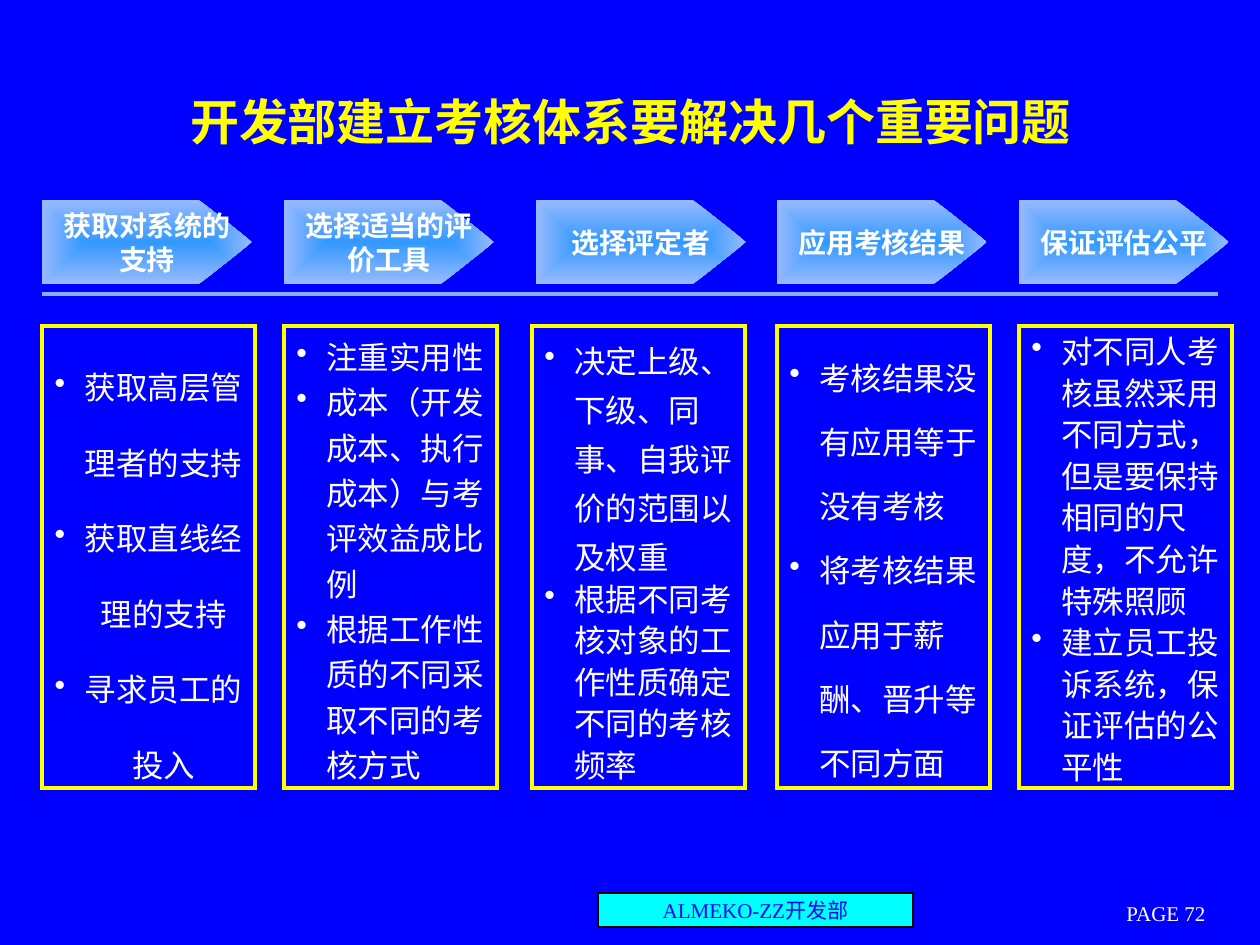
from lxml.etree import SubElement
from pptx import Presentation
from pptx.dml.color import RGBColor
from pptx.enum.shapes import MSO_CONNECTOR as Connector, MSO_SHAPE as Shape
from pptx.enum.text import MSO_ANCHOR as Anchor, PP_ALIGN as Align
from pptx.oxml.ns import qn
from pptx.util import Emu, Pt

EMU_PER_PX = 914400 / 126
BLUE = RGBColor(0x00, 0x00, 0xFF)
CYAN = RGBColor(0x00, 0xFF, 0xFF)
YELLOW = RGBColor(0xFF, 0xFF, 0x00)
WHITE = RGBColor(0xFF, 0xFF, 0xFF)
BLACK = RGBColor(0x00, 0x00, 0x00)
ARROW_CENTER = RGBColor(0x33, 0x99, 0xFF)
ARROW_EDGE = RGBColor(0x97, 0xBA, 0xFF)
RULE_BLUE = RGBColor(0x87, 0xAF, 0xFF)
SERIF = "Times New Roman"
CJK = "Noto Sans CJK SC"
LINE_HEIGHT = 1.2
BULLET_INDENT = 30

COLUMNS = [
    (42, 42, "获取对系统的支持", Align.CENTER,
     [("获取高层管理者的支持", 2), ("获取直线经理的支持", 2), ("寻求员工的投入", 2)]),
    (284, 284, "选择适当的评价工具", Align.LEFT,
     [("注重实用性", 1.2),
      ("成本（开发成本、执行成本）与考评效益成比例", 1.2),
      ("根据工作性质的不同采取不同的考核方式", 1.2)]),
    (536, 532, "选择评定者", Align.LEFT,
     [("决定上级、下级、同事、自我评价的范围以及权重", 1.3),
      ("根据不同考核对象的工作性质确定不同的考核频率", 1.1)]),
    (777, 777, "应用考核结果", Align.LEFT,
     [("考核结果没有应用等于没有考核", 1.7),
      ("将考核结果应用于薪酬、晋升等不同方面", 1.7)]),
    (1019, 1019, "保证评估公平", Align.LEFT,
     [("对不同人考核虽然采用不同方式，但是要保持相同的尺度，不允许特殊照顾", 1.1),
      ("建立员工投诉系统，保证评估的公平性", 1.1)]),
]


def px(length):
    return Emu(round(length * EMU_PER_PX))


def add_bullet(paragraph):
    properties = paragraph._p.get_or_add_pPr()
    properties.set("marL", str(px(BULLET_INDENT)))
    properties.set("indent", str(-px(BULLET_INDENT)))
    bullet_color = SubElement(properties, qn("a:buClr"))
    SubElement(bullet_color, qn("a:srgbClr"), val=str(WHITE))
    SubElement(properties, qn("a:buChar"), char="•")


def write_text(shape, lines, size=18, color=WHITE, font=SERIF, bold=False,
               align=Align.CENTER, bullets=False, wrap=True):
    frame = shape.text_frame
    frame.word_wrap = wrap
    frame.vertical_anchor = Anchor.MIDDLE
    for index, (text, spacing) in enumerate(lines):
        paragraph = frame.add_paragraph() if index else frame.paragraphs[0]
        paragraph._p.get_or_add_pPr().set("hangingPunct", "0")
        if bullets:
            add_bullet(paragraph)
        paragraph.alignment = align
        paragraph.line_spacing = Pt(round(size * LINE_HEIGHT * spacing, 2))
        run = paragraph.add_run()
        run.text = text
        run.font.size = Pt(size)
        run.font.bold = bold
        run.font.name = font
        run.font.color.rgb = color
        SubElement(run._r.get_or_add_rPr(), qn("a:ea"), typeface=CJK)


def add_label(slide, text, x, y, width, height, **style):
    label = slide.shapes.add_textbox(px(x), px(y), px(width), px(height))
    write_text(label, [(text, 1)], **style)


def add_panel(slide, lines, x, y, width, height, border, weight, fill=None, **style):
    panel = slide.shapes.add_shape(Shape.RECTANGLE, px(x), px(y), px(width), px(height))
    panel.shadow.inherit = False
    if fill is None:
        panel.fill.background()
    else:
        panel.fill.solid()
        panel.fill.fore_color.rgb = fill
    panel.line.color.rgb = border
    panel.line.width = Pt(weight)
    SubElement(panel._element.spPr.find(qn("a:ln")), qn("a:miter"), lim="800000")
    write_text(panel, lines, **style)


def fill_from_center(shape, center, edge):
    shape.fill.gradient()
    for stop, color in zip(shape.fill.gradient_stops, (center, edge)):
        stop.color.rgb = color
    gradient = shape._element.spPr.find(qn("a:gradFill"))
    gradient.remove(gradient.find(qn("a:lin")))
    rectangular = SubElement(gradient, qn("a:path"), path="rect")
    SubElement(rectangular, qn("a:fillToRect"), l="50000", t="50000", r="50000", b="50000")


def add_step_arrow(slide, text, x, y=200, width=210, height=84, point=53):
    shoulder, bottom = x + width - point, y + height
    outline = slide.shapes.build_freeform(x, y, scale=EMU_PER_PX)
    outline.add_line_segments(
        [(shoulder, y), (x + width, y + height // 2), (shoulder, bottom), (x, bottom)])
    arrow = outline.convert_to_shape()
    arrow.shadow.inherit = False
    arrow.line.fill.background()
    fill_from_center(arrow, ARROW_CENTER, ARROW_EDGE)
    write_text(arrow, [(text, 1)], size=16, bold=True)


def add_rule(slide, left, right, y):
    rule = slide.shapes.add_connector(Connector.STRAIGHT, px(left), px(y), px(right), px(y))
    rule.line.color.rgb = RULE_BLUE
    rule.line.width = Pt(2.25)
    SubElement(rule._element.spPr, qn("a:effectLst"))


def main():
    deck = Presentation()
    deck.slide_width, deck.slide_height = px(1260), px(945)
    slide = deck.slides.add_slide(deck.slide_layouts[6])
    slide.background.fill.solid()
    slide.background.fill.fore_color.rgb = BLUE

    add_panel(slide, [("ALMEKO-ZZ开发部", 1)], 598, 893, 315, 34, BLACK, 0.75,
              fill=CYAN, size=12, color=BLUE, wrap=False)
    add_label(slide, "PAGE 72", 1061, 897, 210, 32, size=12)
    add_label(slide, "开发部建立考核体系要解决几个重要问题", 95, 42, 1071, 158,
              size=28, color=YELLOW, font=CJK, bold=True)
    add_rule(slide, 42, 1218, 294)
    for arrow_x, panel_x, step, align, points in COLUMNS:
        add_step_arrow(slide, step, arrow_x)
        add_panel(slide, points, panel_x, 326, 213, 462, YELLOW, 2.25,
                  align=align, bullets=True)
    deck.save("out.pptx")


if __name__ == "__main__":
    main()
